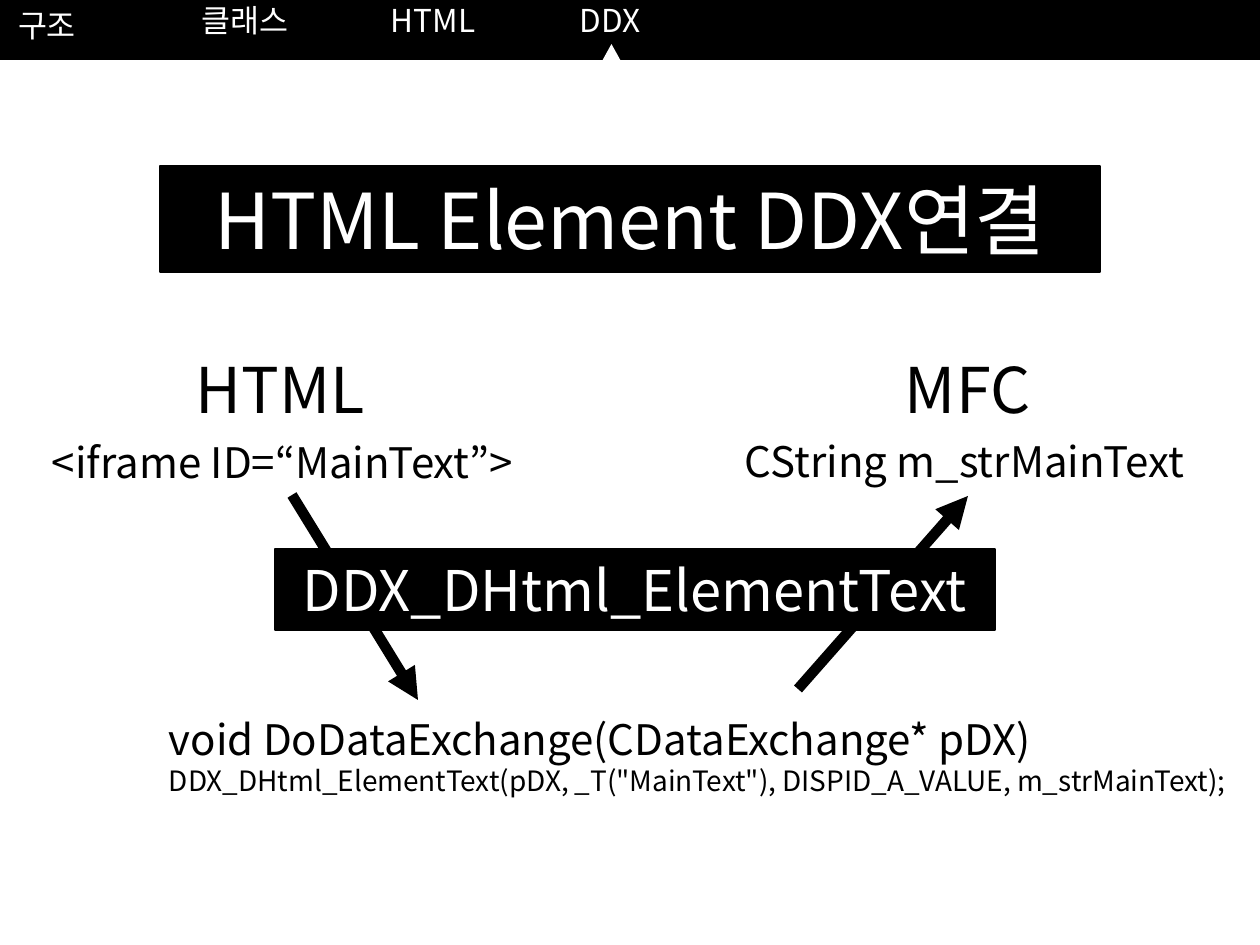
from lxml.etree import SubElement
from pptx import Presentation
from pptx.dml.color import RGBColor
from pptx.enum.shapes import MSO_CONNECTOR as LINE, MSO_SHAPE as SHAPE
from pptx.enum.text import MSO_ANCHOR as ANCHOR, MSO_AUTO_SIZE as FIT, PP_ALIGN as ALIGN
from pptx.oxml.ns import qn
from pptx.util import Emu, Pt

FONT = "Noto Sans CJK KR"
COLORS = {name: RGBColor.from_string(code)
          for name, code in {"ink": "000000", "paper": "FFFFFF"}.items()}

TITLE = ("HTML Element DDX연결", 44, (160, 166, 940, 106))
FUNCTION = ("DDX_DHtml_ElementText", 32, (275, 549, 720, 81))
LABELS = [
    ([("<iframe ID=“MainText”>", 24)], (39, 431, 507, 63)),
    ([("void DoDataExchange(CDataExchange* pDX)", 24),
      ('DDX_DHtml_ElementText(pDX, _T("MainText"), DISPID_A_VALUE, m_strMainText);', 16)],
     (156, 707, 1110, 97)),
    ([("CString m_strMainText", 24)], (732, 430, 507, 63)),
    ([("HTML", 36)], (183, 345, 212, 89)),
    ([("MFC", 36)], (892, 345, 212, 89)),
]
ARROWS = [(292, 495, 418, 700), (798, 689, 968, 496)]
HOME_TAB = ("구조", 18, (0, 0, 183, 50))
TABS = ["클래스", "HTML", "DDX"]
TAB_STEP = 189
NAV = (0, -5, 1260, 64)
MARKER = (601, 44, 21, 19)


def px(length):
    return Emu(round(length * 914400 / 126))


def write(shape, lines, color, align=ALIGN.LEFT, anchor=ANCHOR.TOP, left=13, stops=()):
    frame = shape.text_frame
    settings = {"word_wrap": True, "auto_size": FIT.NONE, "vertical_anchor": anchor,
                "margin_left": px(left), "margin_right": px(13),
                "margin_top": px(6), "margin_bottom": px(6)}
    for name, value in settings.items():
        setattr(frame, name, value)
    for index, (text, size) in enumerate(lines):
        paragraph = frame.add_paragraph() if index else frame.paragraphs[0]
        paragraph.alignment = align
        if stops:
            tab_list = SubElement(paragraph._p.get_or_add_pPr(), qn("a:tabLst"))
            for stop in stops:
                SubElement(tab_list, qn("a:tab"), pos=str(px(stop)), algn="l")
        run = paragraph.add_run()
        run.text = text
        for name, value in {"name": FONT, "size": Pt(size), "bold": False}.items():
            setattr(run.font, name, value)
        run.font.color.rgb = COLORS[color]
        SubElement(run._r.get_or_add_rPr(), qn("a:ea"), typeface=FONT)


def paint(shape, color, outlined=True):
    shape.fill.solid()
    shape.fill.fore_color.rgb = COLORS[color]
    if outlined:
        shape.line.color.rgb = COLORS[color]
        shape.line.width = Pt(1)
    else:
        shape.line.fill.background()


def add_block(slide, kind, box, color, outlined=True):
    block = slide.shapes.add_shape(kind, *map(px, box))
    block.shadow.inherit = False
    paint(block, color, outlined)
    return block


def add_label(slide, lines, box, color, **layout):
    write(slide.shapes.add_textbox(*map(px, box)), lines, color, **layout)


def add_arrow(slide, ends):
    arrow = slide.shapes.add_connector(LINE.STRAIGHT, *map(px, ends))
    arrow.line.color.rgb = COLORS["ink"]
    arrow.line.width = Pt(6)
    SubElement(arrow.line._get_or_add_ln(), qn("a:tailEnd"), type="triangle")
    SubElement(arrow._element.spPr, qn("a:effectLst"))


def main():
    deck = Presentation()
    deck.slide_width, deck.slide_height = px(1260), px(945)
    slide = deck.slides.add_slide(deck.slide_layouts[5])
    centred = {"align": ALIGN.CENTER, "anchor": ANCHOR.MIDDLE}

    text, size, box = TITLE
    title = slide.shapes.title
    for side, length in zip(("left", "top", "width", "height"), box):
        setattr(title, side, px(length))
    paint(title, "ink")
    write(title, [(text, size)], "paper", **centred)

    for lines, box in LABELS:
        add_label(slide, lines, box, "ink")
    for ends in ARROWS:
        add_arrow(slide, ends)

    text, size, box = FUNCTION
    write(add_block(slide, SHAPE.RECTANGLE, box, "ink"), [(text, size)], "paper", **centred)

    nav = add_block(slide, SHAPE.RECTANGLE, NAV, "ink")
    stops = [TAB_STEP * (index + 1) for index in range(len(TABS))]
    write(nav, [("".join(f"\t{tab}" for tab in TABS), 18)], "paper", stops=stops)
    text, size, box = HOME_TAB
    add_label(slide, [(text, size)], box, "paper", left=18)
    add_block(slide, SHAPE.ISOSCELES_TRIANGLE, MARKER, "paper", outlined=False)

    deck.save("out.pptx")


if __name__ == "__main__":
    main()
